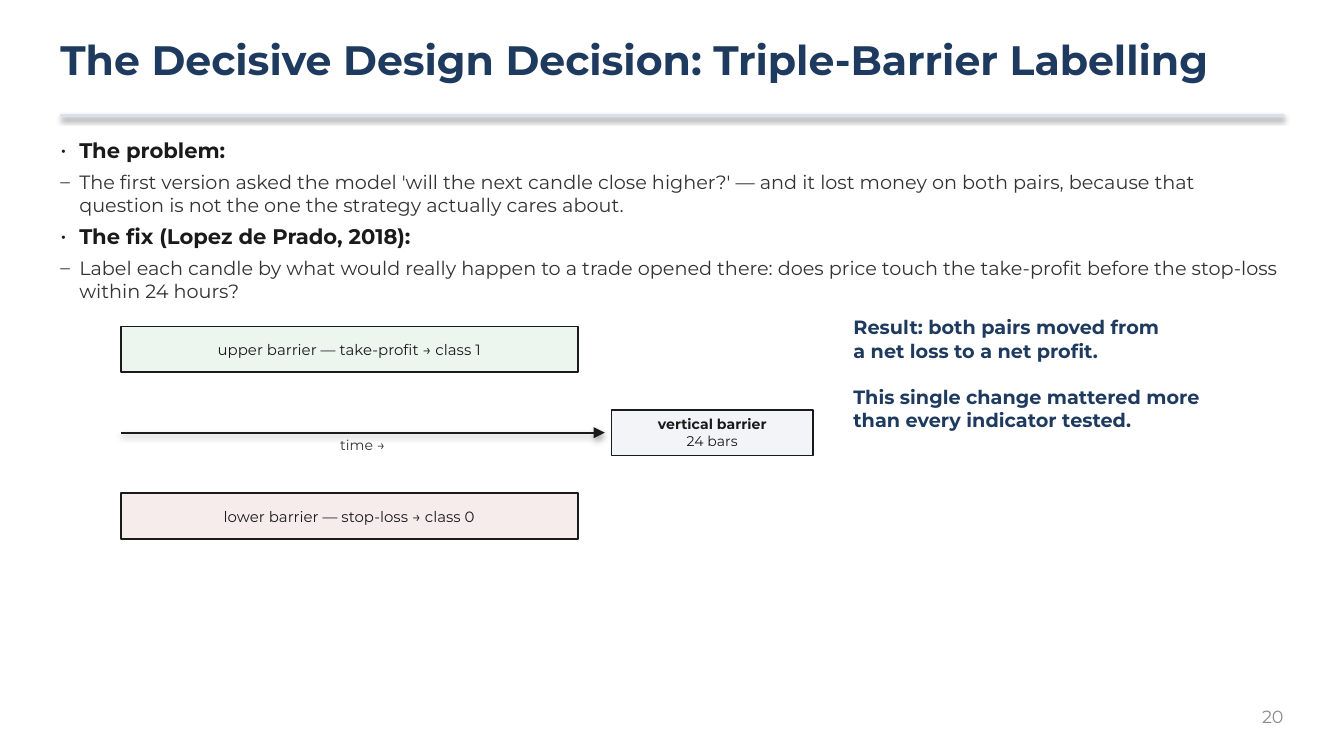
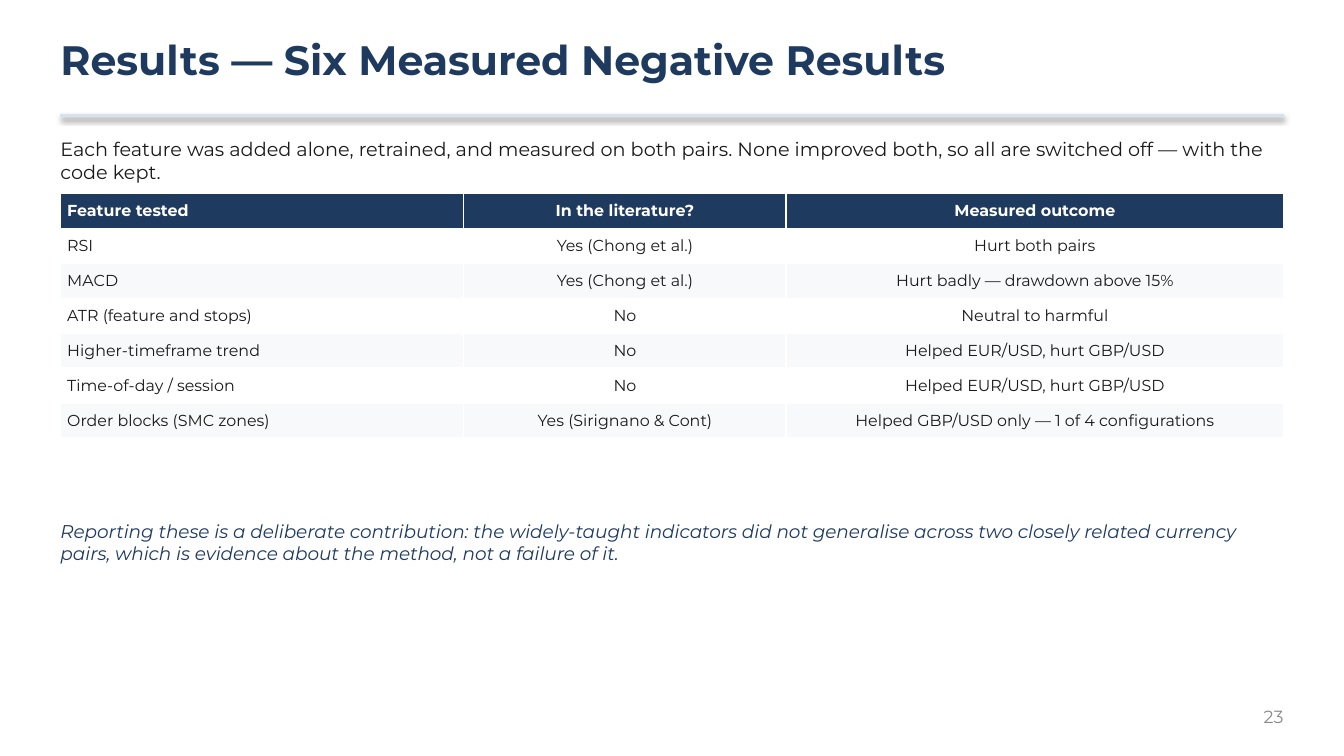
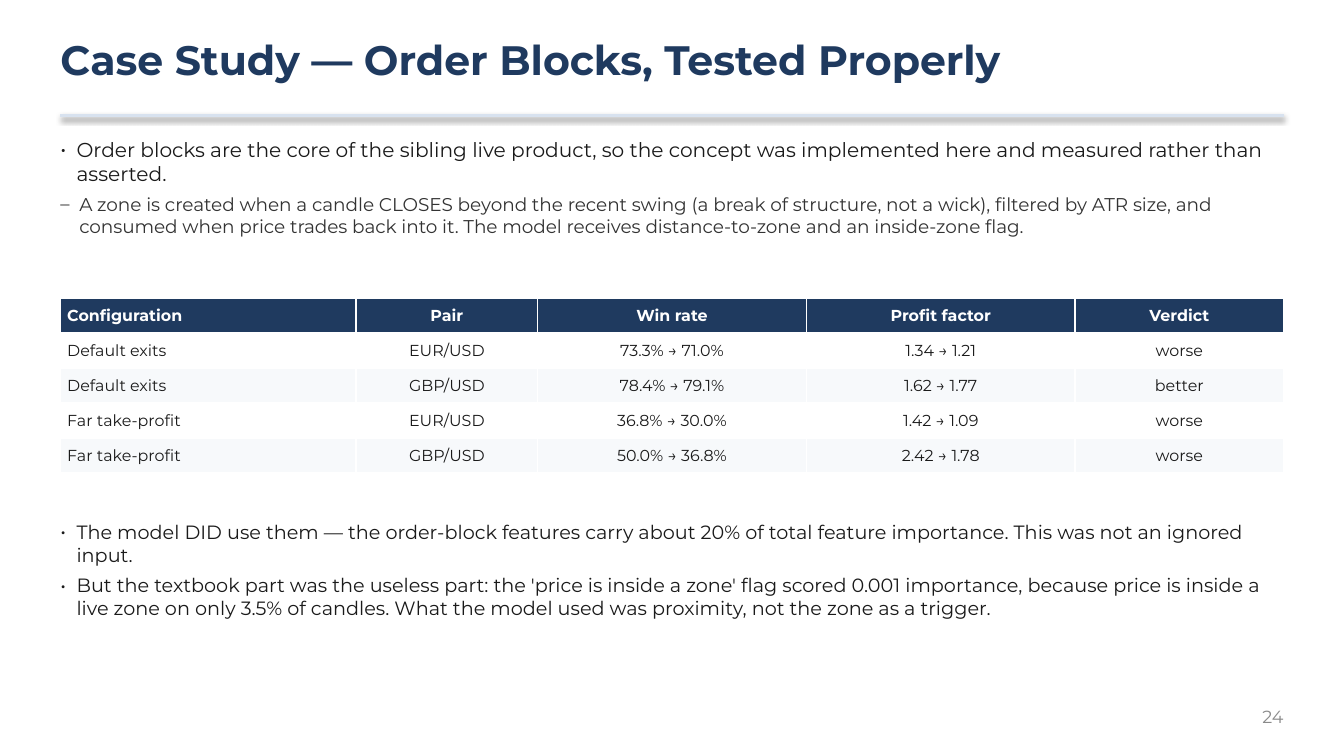
import dataclasses
import typing

import lxml.etree
import pptx
import pptx.dml.color
import pptx.enum.shapes
import pptx.enum.text
import pptx.oxml.ns
import pptx.util

COLORS = {
    "navy": "1F3A5F",
    "ink": "1A1A1A",
    "graphite": "333333",
    "page_gray": "8A8A8A",
    "rule": "D8E2EF",
    "white": "FFFFFF",
    "stripe": "F7F9FB",
    "profit": "ECF5EE",
    "loss": "F6ECEC",
    "timeout": "F2F4F7",
}
FONT = "Montserrat"
SLIDE_WIDTH = pptx.util.Inches(10)
SLIDE_HEIGHT = SLIDE_WIDTH * 9 // 16
GRID = SLIDE_WIDTH // 100
MARGIN = 4.5
CONTENT_WIDTH = 100 - 2 * MARGIN
ROW_HEIGHT = 2.6
RULE_TOP = 8.6
BODY_TOP = 10.2
CLOSING_TOP = 38.7

ALIGN = pptx.enum.text.PP_ALIGN
MIDDLE = pptx.enum.text.MSO_ANCHOR.MIDDLE


@dataclasses.dataclass(frozen=True)
class Style:
    size: float
    color: str = "ink"
    bold: bool = False
    italic: bool = False
    align: typing.Optional[ALIGN] = None
    after: float = 0
    bullet: str = ""
    hang: float = 0
    level: int = 0


class Line(typing.NamedTuple):
    text: str
    style: Style


class Box(typing.NamedTuple):
    left: float
    top: float
    width: float
    height: float


class Barrier(typing.NamedTuple):
    box: Box
    fill: str
    lines: list[Line]


class Results(typing.NamedTuple):
    top: float
    columns: list[float]
    rows: list[tuple[str, ...]]


TITLE = Style(22, "navy", bold=True)
PAGE = Style(9.4, "page_gray", align=ALIGN.RIGHT)
HEADING = Style(11.3, bold=True, after=4, bullet="•", hang=1.4)
DETAIL = Style(10.3, "graphite", after=4, bullet="–", hang=1.4, level=1)
POINT = Style(10.8, after=4, bullet="•", hang=1.2)
FINDING = dataclasses.replace(POINT, size=10.3)
SMALL_DETAIL = dataclasses.replace(DETAIL, size=9.9)
INTRO = Style(10.3)
CLOSING = Style(9.9, "navy", italic=True)
VERDICT = Style(10.3, "navy", bold=True, after=12.5)
BARRIER = Style(8, align=ALIGN.CENTER)
TIMEOUT = Style(7.5, align=ALIGN.CENTER)
TIMEOUT_NAME = dataclasses.replace(TIMEOUT, bold=True)
AXIS = dataclasses.replace(TIMEOUT, color="graphite")
CELL = Style(8.5)
HEADER = Style(8.5, "white", bold=True)


def units(count: float) -> int:
    return round(count * GRID)


def rgb(name: str) -> pptx.dml.color.RGBColor:
    return pptx.dml.color.RGBColor.from_string(COLORS[name])


def add_bullet(paragraph, style: Style) -> None:
    properties = paragraph._p.get_or_add_pPr()
    properties.set("marL", str(units(style.hang)))
    properties.set("indent", str(-units(style.hang)))
    for tag, attribute, value in (("a:buFont", "typeface", FONT), ("a:buChar", "char", style.bullet)):
        lxml.etree.SubElement(properties, pptx.oxml.ns.qn(tag)).set(attribute, value)


def write(frame, lines: list[Line]) -> None:
    for index, (text, style) in enumerate(lines):
        paragraph = frame.add_paragraph() if index else frame.paragraphs[0]
        if style.bullet:
            add_bullet(paragraph, style)
        paragraph.level = style.level
        paragraph.alignment = style.align
        paragraph.space_after = pptx.util.Pt(style.after)
        for part_index, part in enumerate(text.split("\n")):
            if part_index:
                paragraph.add_line_break()
            run = paragraph.add_run()
            run.text = part
            run.font.name = FONT
            run.font.size = pptx.util.Pt(style.size)
            run.font.bold = style.bold
            run.font.italic = style.italic
            run.font.color.rgb = rgb(style.color)


def set_margins(holder, side: float, end: float) -> None:
    holder.margin_left = holder.margin_right = units(side)
    holder.margin_top = holder.margin_bottom = units(end)


def add_text(slide, box: Box, *lines: Line) -> None:
    frame = slide.shapes.add_textbox(*map(units, box)).text_frame
    frame.word_wrap = True
    frame.auto_size = pptx.enum.text.MSO_AUTO_SIZE.SHAPE_TO_FIT_TEXT
    set_margins(frame, 0, 0)
    write(frame, list(lines))


def add_rule(slide, left: float, right: float, top: float, color: str, weight: float):
    rule = slide.shapes.add_connector(
        pptx.enum.shapes.MSO_CONNECTOR.STRAIGHT, units(left), units(top), units(right), units(top)
    )
    rule.line.color.rgb = rgb(color)
    rule.line.width = pptx.util.Pt(weight)
    return rule


def add_barrier(slide, barrier: Barrier) -> None:
    shape = slide.shapes.add_shape(pptx.enum.shapes.MSO_SHAPE.RECTANGLE, *map(units, barrier.box))
    shape.shadow.inherit = False
    shape.fill.solid()
    shape.fill.fore_color.rgb = rgb(barrier.fill)
    shape.line.color.rgb = rgb("ink")
    shape.line.width = pptx.util.Pt(1)
    frame = shape.text_frame
    frame.word_wrap = True
    frame.vertical_anchor = MIDDLE
    set_margins(frame, 0.3, 0.2)
    write(frame, barrier.lines)


def add_results(slide, results: Results) -> None:
    box = Box(MARGIN, results.top, CONTENT_WIDTH, ROW_HEIGHT * len(results.rows))
    table = slide.shapes.add_table(len(results.rows), len(results.columns), *map(units, box)).table
    for column, width in zip(table.columns, results.columns):
        column.width = units(width)
    for row_index, row in enumerate(results.rows):
        table.rows[row_index].height = units(ROW_HEIGHT)
        fill = "navy" if row_index == 0 else "white" if row_index % 2 else "stripe"
        for column_index, text in enumerate(row):
            cell = table.cell(row_index, column_index)
            cell.fill.solid()
            cell.fill.fore_color.rgb = rgb(fill)
            cell.vertical_anchor = MIDDLE
            set_margins(cell, 0.5, 0.2)
            style = CELL if row_index else HEADER
            align = ALIGN.CENTER if column_index else ALIGN.LEFT
            write(cell.text_frame, [Line(text, dataclasses.replace(style, align=align))])


def add_slide(deck, title: str, page: int):
    slide = deck.slides.add_slide(deck.slide_layouts[6])
    slide.background.fill.solid()
    slide.background.fill.fore_color.rgb = rgb("white")
    add_text(slide, Box(MARGIN, 2.6, CONTENT_WIDTH, 5), Line(title, TITLE))
    add_rule(slide, MARGIN, 100 - MARGIN, RULE_TOP, "rule", 1.5)
    add_text(slide, Box(91.5, 52.5, 4, 2.5), Line(str(page), PAGE))
    return slide


def add_labelling(deck) -> None:
    slide = add_slide(deck, "The Decisive Design Decision: Triple-Barrier Labelling", 20)
    add_text(
        slide,
        Box(MARGIN, BODY_TOP, CONTENT_WIDTH, 16),
        Line("The problem:", HEADING),
        Line(
            "The first version asked the model 'will the next candle close higher?' — and it lost money "
            "on both pairs, because that question is not the one the strategy actually cares about.",
            DETAIL,
        ),
        Line("The fix (Lopez de Prado, 2018):", HEADING),
        Line(
            "Label each candle by what would really happen to a trade opened there: does price touch "
            "the take-profit before the stop-loss within 24 hours?",
            DETAIL,
        ),
    )
    start, height, middle, spread = 9, 3.4, 32.2, 6.2
    top = middle - height / 2
    barriers = [
        Barrier(
            Box(start, top - spread, 34, height),
            "profit",
            [Line("upper barrier — take-profit → class 1", BARRIER)],
        ),
        Barrier(
            Box(start, top + spread, 34, height),
            "loss",
            [Line("lower barrier — stop-loss → class 0", BARRIER)],
        ),
        Barrier(
            Box(45.5, top, 15, height),
            "timeout",
            [Line("vertical barrier", TIMEOUT_NAME), Line("24 bars", TIMEOUT)],
        ),
    ]
    for barrier in barriers:
        add_barrier(slide, barrier)
    time_axis = add_rule(slide, start, 45, middle, "ink", 1)
    axis_line = time_axis.line._get_or_add_ln()
    lxml.etree.SubElement(axis_line, pptx.oxml.ns.qn("a:tailEnd")).set("type", "triangle")
    add_text(slide, Box(19, 32.5, 16, 2), Line("time →", AXIS))
    add_text(
        slide,
        Box(63.5, 23.5, 32, 14),
        Line("Result: both pairs moved from\na net loss to a net profit.", VERDICT),
        Line(
            "This single change mattered more\nthan every indicator tested.",
            dataclasses.replace(VERDICT, after=0),
        ),
    )


def add_negative_results(deck) -> None:
    slide = add_slide(deck, "Results — Six Measured Negative Results", 23)
    add_text(
        slide,
        Box(MARGIN, BODY_TOP, CONTENT_WIDTH, 3),
        Line(
            "Each feature was added alone, retrained, and measured on both pairs. None improved both, "
            "so all are switched off — with the code kept.",
            INTRO,
        ),
    )
    add_results(slide, Results(14.4, [30, 24, 37], [
        ("Feature tested", "In the literature?", "Measured outcome"),
        ("RSI", "Yes (Chong et al.)", "Hurt both pairs"),
        ("MACD", "Yes (Chong et al.)", "Hurt badly — drawdown above 15%"),
        ("ATR (feature and stops)", "No", "Neutral to harmful"),
        ("Higher-timeframe trend", "No", "Helped EUR/USD, hurt GBP/USD"),
        ("Time-of-day / session", "No", "Helped EUR/USD, hurt GBP/USD"),
        ("Order blocks (SMC zones)", "Yes (Sirignano & Cont)", "Helped GBP/USD only — 1 of 4 configurations"),
    ]))
    add_text(
        slide,
        Box(MARGIN, CLOSING_TOP, CONTENT_WIDTH, 5.5),
        Line(
            "Reporting these is a deliberate contribution: the widely-taught indicators did not "
            "generalise across two closely related currency pairs, which is evidence about the method, "
            "not a failure of it.",
            CLOSING,
        ),
    )


def add_case_study(deck) -> None:
    slide = add_slide(deck, "Case Study — Order Blocks, Tested Properly", 24)
    add_text(
        slide,
        Box(MARGIN, BODY_TOP, CONTENT_WIDTH, 11.5),
        Line(
            "Order blocks are the core of the sibling live product, so the concept was implemented "
            "here and measured rather than asserted.",
            POINT,
        ),
        Line(
            "A zone is created when a candle CLOSES beyond the recent swing (a break of structure, "
            "not a wick), filtered by ATR size, and consumed when price trades back into it. The model "
            "receives distance-to-zone and an inside-zone flag.",
            SMALL_DETAIL,
        ),
    )
    add_results(slide, Results(22.2, [22, 13.5, 20, 20, 15.5], [
        ("Configuration", "Pair", "Win rate", "Profit factor", "Verdict"),
        ("Default exits", "EUR/USD", "73.3% → 71.0%", "1.34 → 1.21", "worse"),
        ("Default exits", "GBP/USD", "78.4% → 79.1%", "1.62 → 1.77", "better"),
        ("Far take-profit", "EUR/USD", "36.8% → 30.0%", "1.42 → 1.09", "worse"),
        ("Far take-profit", "GBP/USD", "50.0% → 36.8%", "2.42 → 1.78", "worse"),
    ]))
    add_text(
        slide,
        Box(MARGIN, CLOSING_TOP, CONTENT_WIDTH, 14.6),
        Line(
            "The model DID use them — the order-block features carry about 20% of total feature "
            "importance. This was not an ignored input.",
            FINDING,
        ),
        Line(
            "But the textbook part was the useless part: the 'price is inside a zone' flag scored "
            "0.001 importance, because price is inside a live zone on only 3.5% of candles. What the "
            "model used was proximity, not the zone as a trigger.",
            FINDING,
        ),
    )


def main() -> None:
    deck = pptx.Presentation()
    deck.slide_width = SLIDE_WIDTH
    deck.slide_height = SLIDE_HEIGHT
    add_labelling(deck)
    add_negative_results(deck)
    add_case_study(deck)
    deck.save("out.pptx")


if __name__ == "__main__":
    main()
